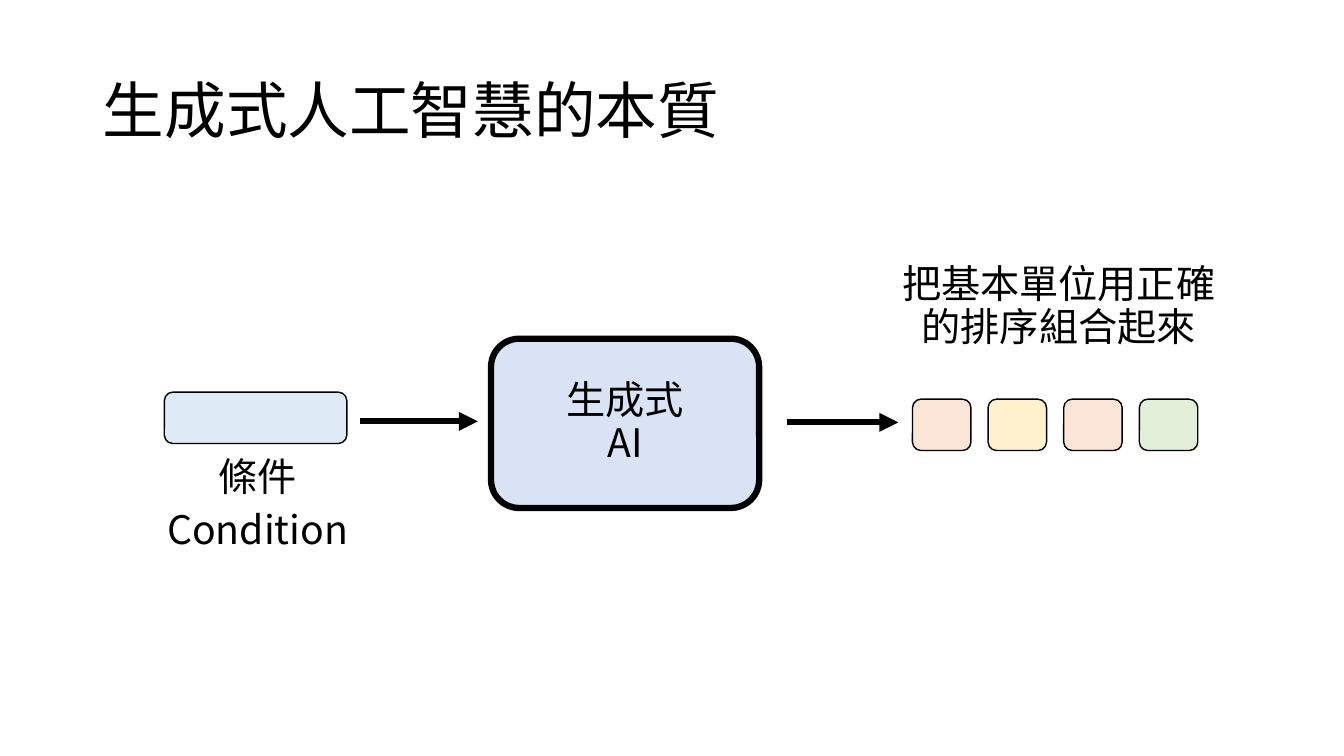
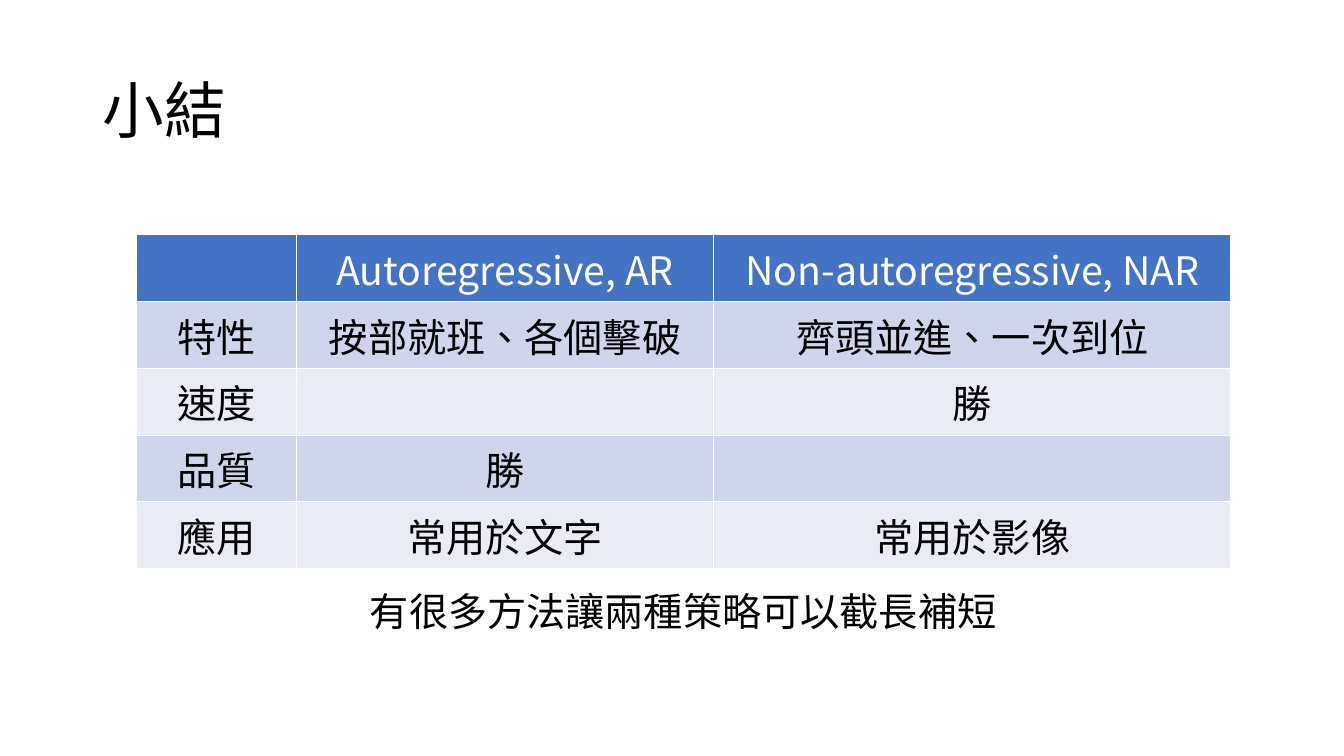
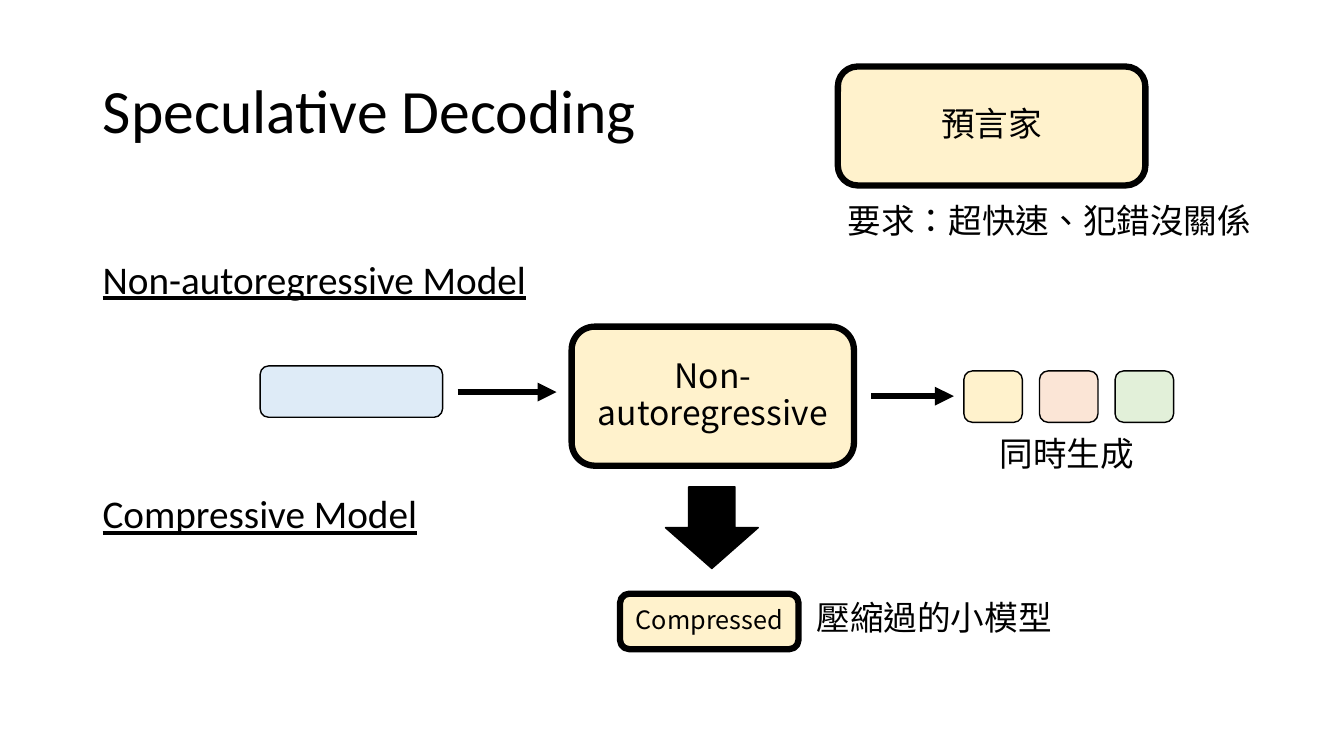
"""Build three slides on generative AI and speculative decoding."""

import dataclasses
import typing

import lxml.etree
import pptx
import pptx.dml.color
import pptx.enum.lang
import pptx.enum.shapes
import pptx.enum.text
import pptx.oxml.ns
import pptx.presentation
import pptx.slide
import pptx.util

EMU_PER_PX = 9144
SLIDE_WIDTH, SLIDE_HEIGHT = 1333, 750
TITLE_BOX = (92, 40, 1150, 145)
CJK_FONT = "Noto Sans CJK SC"
LATIN_FONT = "Calibri"
THICK, THIN = 4.5, 1
TOKEN_WIDTH, TOKEN_HEIGHT, TOKEN_PITCH = 58, 51, 75
ROW_HEIGHT = 66

COLORS = {
    "black": "000000",
    "white": "FFFFFF",
    "model": "DAE3F3",
    "condition": "DEEBF7",
    "orange": "FBE5D6",
    "yellow": "FFF2CC",
    "green": "E2F0D9",
    "header": "4472C4",
    "band_dark": "CFD5EA",
    "band_light": "E9EBF5",
}

ALIGN = pptx.enum.text.PP_ALIGN
ANCHOR = pptx.enum.text.MSO_ANCHOR
SHAPE = pptx.enum.shapes.MSO_SHAPE


@dataclasses.dataclass(frozen=True)
class Style:
    """Look of a run of text and its paragraph."""

    size: int = 28
    font: str = CJK_FONT
    color: str = "black"
    underline: bool = False
    align: typing.Any = ALIGN.CENTER
    spacing: float = 0.9


@dataclasses.dataclass(frozen=True)
class Label:
    """Free text on a slide."""

    text: str
    box: tuple[int, int, int, int]
    style: Style = Style()


@dataclasses.dataclass(frozen=True)
class Block:
    """Filled preset shape with optional lines of text."""

    box: tuple[int, int, int, int]
    fill: str
    lines: tuple[str, ...] = ()
    style: Style = Style()
    border: float = THICK
    kind: typing.Any = SHAPE.ROUNDED_RECTANGLE


@dataclasses.dataclass(frozen=True)
class Arrow:
    """Horizontal arrow pointing right."""

    left: int
    right: int
    y: int


NOTE = Style(size=24)
NOTE_LEFT = Style(size=24, align=ALIGN.LEFT)
HEADING = Style(font=LATIN_FONT, underline=True, align=ALIGN.LEFT, spacing=1.0)


def px(length: int) -> pptx.util.Emu:
    """Turn px into EMU."""
    return pptx.util.Emu(length * EMU_PER_PX)


def rgb(name: str) -> pptx.dml.color.RGBColor:
    """Look up a named colour."""
    return pptx.dml.color.RGBColor.from_string(COLORS[name])


def add_run(paragraph: typing.Any, text: str, style: Style) -> None:
    """Add one styled run and format its paragraph."""
    paragraph.alignment = style.align
    paragraph.line_spacing = style.spacing
    run = paragraph.add_run()
    run.text = text
    run.font.size = pptx.util.Pt(style.size)
    run.font.name = style.font
    run.font.color.rgb = rgb(style.color)
    run.font.language_id = pptx.enum.lang.MSO_LANGUAGE_ID.TRADITIONAL_CHINESE
    if style.underline:
        run.font.underline = True
    properties = run._r.get_or_add_rPr()
    east_asian = lxml.etree.SubElement(properties, pptx.oxml.ns.qn("a:ea"))
    east_asian.set("typeface", style.font)


def add_titled_slide(
    presentation: pptx.presentation.Presentation, text: str, font: str = CJK_FONT
) -> pptx.slide.Slide:
    """Add a title-only slide with the shared title style."""
    slide = presentation.slides.add_slide(presentation.slide_layouts[5])
    title = slide.shapes.title
    title.left, title.top, title.width, title.height = map(px, TITLE_BOX)
    frame = title.text_frame
    frame.word_wrap = True
    frame.auto_size = pptx.enum.text.MSO_AUTO_SIZE.NONE
    frame.vertical_anchor = ANCHOR.MIDDLE
    add_run(frame.paragraphs[0], text, Style(size=44, font=font, align=ALIGN.LEFT))
    return slide


def add_label(slide: pptx.slide.Slide, label: Label) -> None:
    """Add a wrapping text box."""
    frame = slide.shapes.add_textbox(*map(px, label.box)).text_frame
    frame.word_wrap = True
    frame.auto_size = pptx.enum.text.MSO_AUTO_SIZE.SHAPE_TO_FIT_TEXT
    add_run(frame.paragraphs[0], label.text, label.style)


def add_block(shapes: typing.Any, block: Block) -> None:
    """Add a block to a slide's or a group's shapes."""
    shape = shapes.add_shape(block.kind, *map(px, block.box))
    shape.shadow.inherit = False
    shape.fill.solid()
    shape.fill.fore_color.rgb = rgb(block.fill)
    shape.line.color.rgb = rgb("black")
    shape.line.width = pptx.util.Pt(block.border)
    frame = shape.text_frame
    frame.word_wrap = True
    frame.vertical_anchor = ANCHOR.MIDDLE
    for index, line in enumerate(block.lines):
        paragraph = frame.add_paragraph() if index else frame.paragraphs[0]
        add_run(paragraph, line, block.style)


def add_tokens(
    slide: pptx.slide.Slide, left: int, top: int, fills: typing.Sequence[str]
) -> None:
    """Add a group of evenly spaced tokens."""
    group = slide.shapes.add_group_shape()
    for index, fill in enumerate(fills):
        box = (left + index * TOKEN_PITCH, top, TOKEN_WIDTH, TOKEN_HEIGHT)
        add_block(group.shapes, Block(box, fill, border=THIN))


def add_arrow(slide: pptx.slide.Slide, arrow: Arrow) -> None:
    """Add a thick line with a triangular head."""
    connector = slide.shapes.add_connector(
        pptx.enum.shapes.MSO_CONNECTOR.STRAIGHT,
        *map(px, (arrow.left, arrow.y, arrow.right, arrow.y)),
    )
    connector.line.color.rgb = rgb("black")
    connector.line.width = pptx.util.Pt(THICK)
    qn = pptx.oxml.ns.qn
    properties = connector.element.spPr
    head = lxml.etree.SubElement(properties.find(qn("a:ln")), qn("a:tailEnd"))
    head.set("type", "triangle")
    lxml.etree.SubElement(properties, qn("a:effectLst"))


def add_cell_borders(cell: typing.Any) -> None:
    """Give a cell thin white borders on all sides."""
    qn = pptx.oxml.ns.qn
    properties = cell._tc.get_or_add_tcPr()
    for index, side in enumerate(("lnL", "lnR", "lnT", "lnB")):
        line = lxml.etree.Element(qn(f"a:{side}"), w=str(pptx.util.Pt(THIN)))
        fill = lxml.etree.SubElement(line, qn("a:solidFill"))
        lxml.etree.SubElement(fill, qn("a:srgbClr"), val=COLORS["white"])
        properties.insert(index, line)


def add_comparison_table(
    slide: pptx.slide.Slide,
    left: int,
    top: int,
    widths: typing.Sequence[int],
    rows: typing.Sequence[typing.Sequence[str]],
) -> None:
    """Add a table with a header row and banded body rows."""
    table = slide.shapes.add_table(
        len(rows),
        len(widths),
        *map(px, (left, top, sum(widths), ROW_HEIGHT * len(rows))),
    ).table
    for column, width in zip(table.columns, widths):
        column.width = px(width)
    for row_index, texts in enumerate(rows):
        band = "band_dark" if row_index % 2 else "band_light"
        fill, color = (band, "black") if row_index else ("header", "white")
        for column_index, text in enumerate(texts):
            cell = table.cell(row_index, column_index)
            cell.fill.solid()
            cell.fill.fore_color.rgb = rgb(fill)
            add_cell_borders(cell)
            if text:
                style = Style(color=color, spacing=1.0)
                add_run(cell.text_frame.paragraphs[0], text, style)


def draw(
    slide: pptx.slide.Slide,
    blocks: typing.Sequence[Block] = (),
    labels: typing.Sequence[Label] = (),
    arrows: typing.Sequence[Arrow] = (),
) -> None:
    """Draw the blocks, labels and arrows of a slide."""
    for block in blocks:
        add_block(slide.shapes, block)
    for label in labels:
        add_label(slide, label)
    for arrow in arrows:
        add_arrow(slide, arrow)


def build_essence(presentation: pptx.presentation.Presentation) -> None:
    """Build the slide on the essence of generative AI."""
    slide = add_titled_slide(presentation, "生成式人工智慧的本質")
    draw(
        slide,
        blocks=(
            Block((487, 336, 266, 168), "model", ("生成式", "AI")),
            Block((163, 389, 181, 51), "condition", border=THIN),
        ),
        labels=(
            Label("條件", (181, 449, 149, 57)),
            Label("Condition", (148, 502, 215, 57)),
            Label("把基本單位用正確的排序組合起來", (875, 258, 350, 104)),
        ),
        arrows=(Arrow(357, 474, 418), Arrow(781, 891, 419)),
    )
    add_tokens(slide, 905, 396, ("orange", "yellow", "orange", "green"))


def build_summary(presentation: pptx.presentation.Presentation) -> None:
    """Build the slide that compares the two strategies."""
    slide = add_titled_slide(presentation, "小結")
    rows = (
        ("", "Autoregressive, AR", "Non-autoregressive, NAR"),
        ("特性", "按部就班、各個擊破", "齊頭並進、一次到位"),
        ("速度", "", "勝"),
        ("品質", "勝", ""),
        ("應用", "常用於文字", "常用於影像"),
    )
    add_comparison_table(slide, 135, 233, (159, 414, 513), rows)
    add_label(slide, Label("有很多方法讓兩種策略可以截長補短", (325, 583, 705, 57)))


def build_decoding(presentation: pptx.presentation.Presentation) -> None:
    """Build the slide on speculative decoding."""
    slide = add_titled_slide(presentation, "Speculative Decoding", LATIN_FONT)
    draw(
        slide,
        blocks=(
            Block((831, 66, 305, 118), "yellow", ("預言家",), NOTE),
            Block((567, 324, 280, 138), "yellow", ("Non-autoregressive",), NOTE),
            Block((258, 363, 181, 51), "condition", border=THIN),
            Block((660, 483, 92, 81), "black", border=THIN, kind=SHAPE.DOWN_ARROW),
            Block((615, 589, 177, 55), "yellow", ("Compressed",), Style(size=18)),
        ),
        labels=(
            Label("要求：超快速、犯錯沒關係", (831, 198, 442, 50), NOTE_LEFT),
            Label("Non-autoregressive Model", (92, 248, 667, 57), HEADING),
            Label("Compressive Model", (92, 481, 667, 57), HEADING),
            Label("同時生成", (929, 429, 258, 50), NOTE),
            Label("壓縮過的小模型", (800, 592, 258, 50), NOTE_LEFT),
        ),
        arrows=(Arrow(454, 552, 389), Arrow(864, 946, 393)),
    )
    add_tokens(slide, 956, 368, ("yellow", "orange", "green"))


def main() -> None:
    """Build and save the presentation."""
    presentation = pptx.Presentation()
    presentation.slide_width = px(SLIDE_WIDTH)
    presentation.slide_height = px(SLIDE_HEIGHT)
    build_essence(presentation)
    build_summary(presentation)
    build_decoding(presentation)
    presentation.save("out.pptx")


if __name__ == "__main__":
    main()
